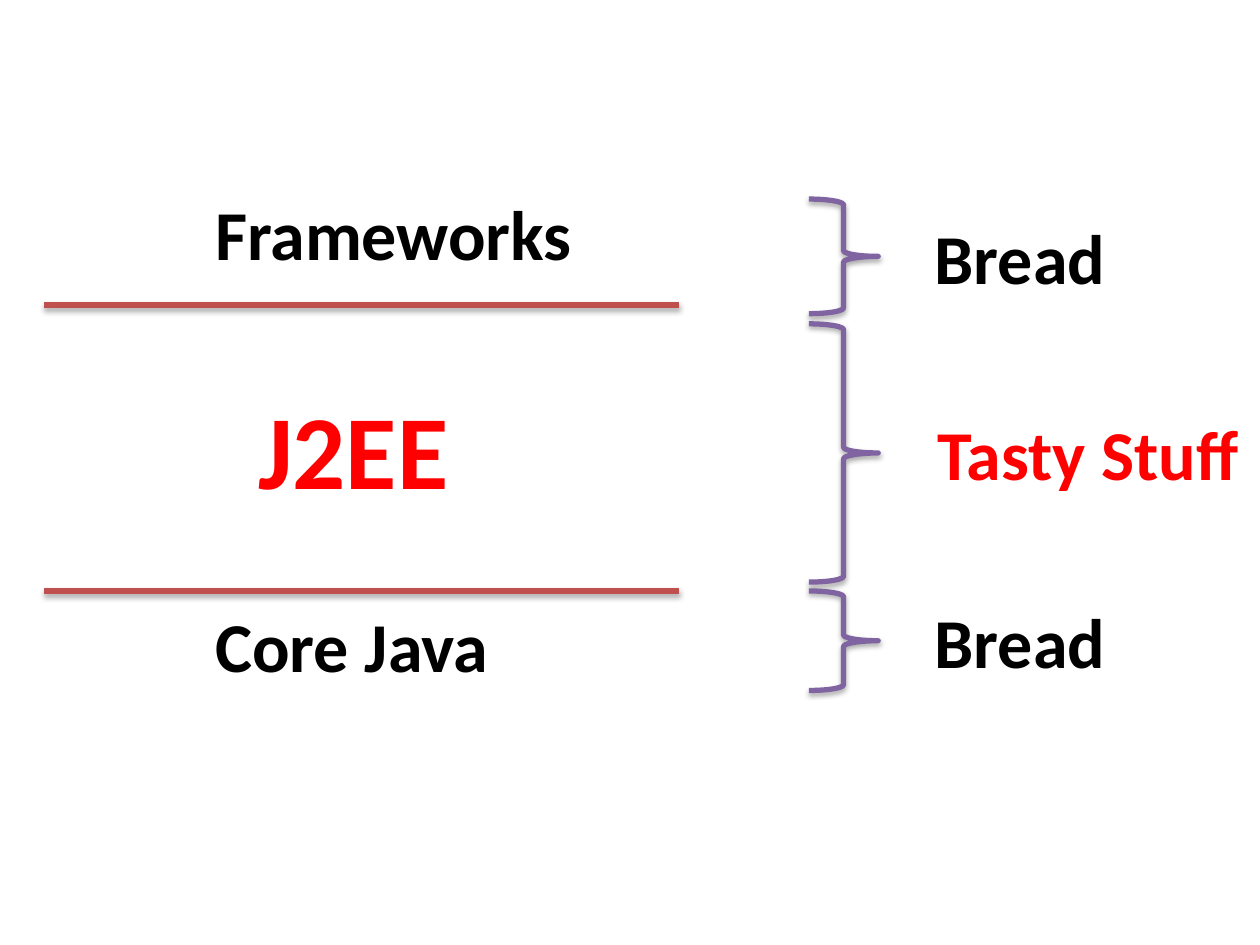
from dataclasses import dataclass

from lxml import etree
from pptx import Presentation
from pptx.dml.color import RGBColor
from pptx.enum.shapes import MSO_CONNECTOR as Connector, MSO_SHAPE as Shape
from pptx.enum.text import MSO_AUTO_SIZE as AutoSize, PP_ALIGN as Align
from pptx.oxml import parse_xml
from pptx.oxml.ns import nsdecls
from pptx.util import Inches, Pt


@dataclass(frozen=True)
class Theme:
    """Colours, type sizes and line weight of the slide."""
    font: str = "Calibri"
    plain: str = "000000"
    accent: str = "FF0000"
    divider: str = "C0504D"
    brace: str = "8064A2"
    normal: int = 40
    large: int = 60
    weight: int = 3


THEME = Theme()
LABEL_HEIGHT = 0.77


def style_line(shape, color):
    """Colour the outline and give it a soft shadow below."""
    shape.line.color.rgb = RGBColor.from_string(color)
    shape.line.width = Pt(THEME.weight)
    properties = shape._element.spPr
    for old in properties.findall("{*}effectLst"):
        properties.remove(old)
    properties.append(parse_xml(
        f'<a:effectLst {nsdecls("a")}>'
        '<a:outerShdw blurRad="40000" dist="23000" dir="5400000" rotWithShape="0">'
        '<a:srgbClr val="000000"><a:alpha val="35000"/></a:srgbClr>'
        '</a:outerShdw></a:effectLst>'))


def add_label(slide, box, text, color=THEME.plain, size=THEME.normal, align=None):
    """Write one bold, unwrapped line of text in the box."""
    label = slide.shapes.add_textbox(*map(Inches, box))
    frame = label.text_frame
    frame.word_wrap = False
    frame.auto_size = AutoSize.SHAPE_TO_FIT_TEXT
    paragraph = frame.paragraphs[0]
    paragraph.alignment = align
    run = paragraph.add_run()
    run.text = text
    run.font.name = THEME.font
    run.font.size = Pt(size)
    run.font.bold = True
    run.font.color.rgb = RGBColor.from_string(color)


def add_braced_group(slide, box, text, label_width, color=THEME.plain, align=None):
    """Draw a right brace in the box, with its label centred beside the tip."""
    left, top, width, height = box
    brace = slide.shapes.add_shape(Shape.RIGHT_BRACE, *map(Inches, box))
    brace.fill.background()
    style_line(brace, THEME.brace)
    label_box = (left + width + 0.35, top + (height - LABEL_HEIGHT) / 2,
                 label_width, LABEL_HEIGHT)
    add_label(slide, label_box, text, color, align=align)


def add_analogy(slide, left, top):
    """Stack the braces that liken the layers to a sandwich."""
    groups = [
        (0, 0.91, "Bread", 1.57, THEME.plain, None),
        (0.99, 2.05, "Tasty Stuff", 2.63, THEME.accent, Align.CENTER),
        (3.11, 0.79, "Bread", 1.57, THEME.plain, None),
    ]
    for offset, height, *label in groups:
        add_braced_group(slide, (left, top + offset, 0.55, height), *label)


def add_layers(slide, left, top, width):
    """Place the three technology layers and the dividers between them."""
    for offset in (0.96, 3.23):
        y = Inches(top + offset)
        divider = slide.shapes.add_connector(
            Connector.STRAIGHT, Inches(left), y, Inches(left + width), y)
        style_line(divider, THEME.divider)
    indent = left + 1.26
    add_label(slide, (indent, top, 3.06, LABEL_HEIGHT), "Frameworks")
    add_label(slide, (left + 1.6, top + 1.54, 1.73, 1.11), "J2EE",
              THEME.accent, THEME.large)
    add_label(slide, (indent, top + 3.27, 2.39, LABEL_HEIGHT), "Core Java")


def build():
    """Build the slide and save it."""
    deck = Presentation()
    deck.slide_width, deck.slide_height = Inches(10), Inches(7.5)
    slide = deck.slides.add_slide(deck.slide_layouts[6])
    add_analogy(slide, 6.42, 1.58)
    add_layers(slide, 0.35, 1.46, 5.04)
    deck.save("out.pptx")


build()
